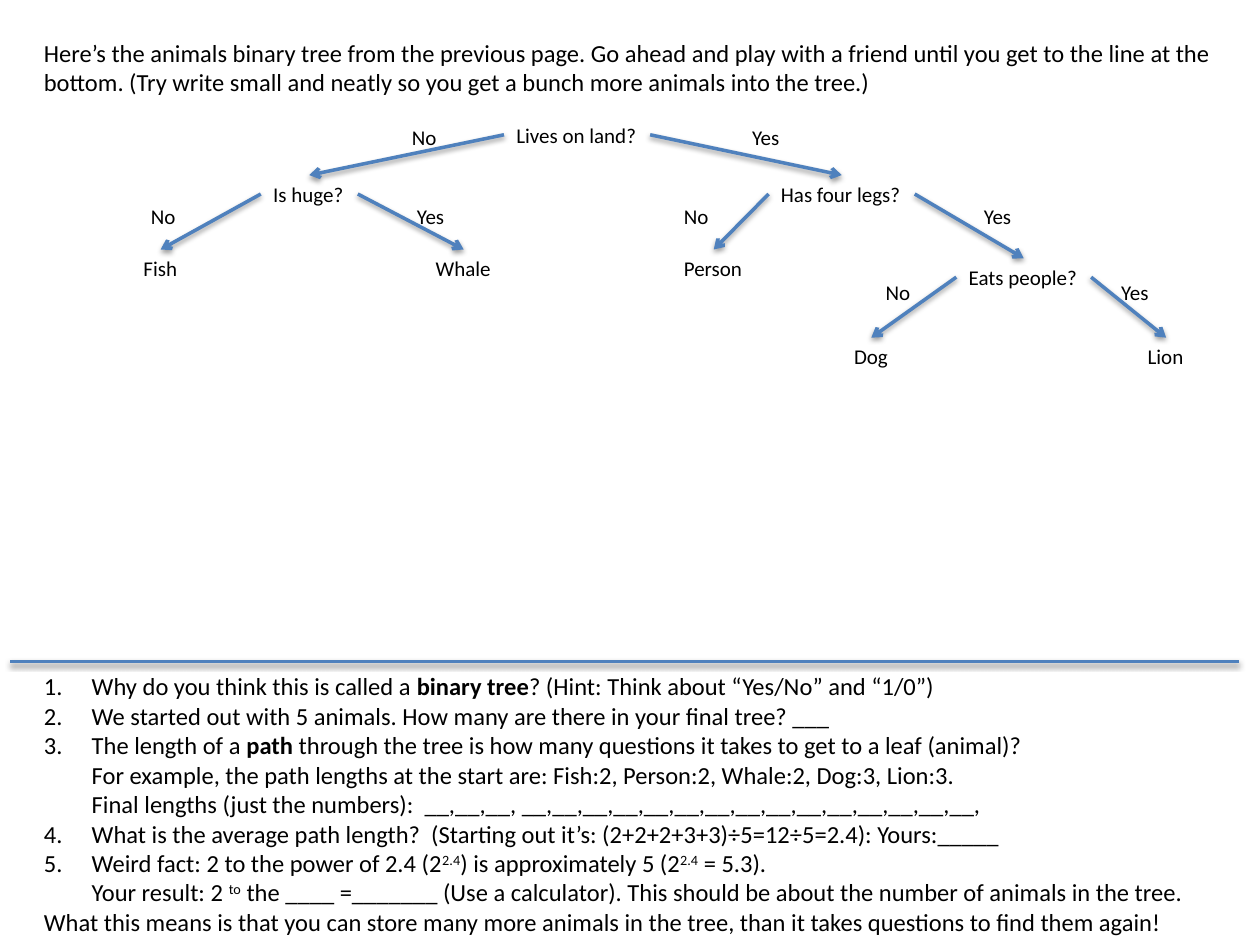
from dataclasses import dataclass

from lxml.etree import SubElement
from pptx import Presentation
from pptx.dml.color import RGBColor
from pptx.enum.shapes import MSO_CONNECTOR as Connector
from pptx.enum.text import MSO_AUTO_SIZE as AutoSize
from pptx.oxml.ns import qn
from pptx.util import Inches, Pt

COLORS = {"text": "000000", "line": "4F81BD", "shadow": "000000"}
NODE_HEIGHT = 0.3
BODY_SIZE, TREE_SIZE = 14, 12
NUMBER_INDENT = Inches(0.38)
BOLD, SUPER = "bold", "super"


@dataclass(frozen=True)
class Node:
    text: str
    left: float
    top: float
    width: float

    @property
    def center(self) -> float:
        return self.left + self.width / 2

    @property
    def middle(self) -> float:
        return self.top + NODE_HEIGHT / 2


@dataclass(frozen=True)
class Branch:
    question: Node
    answer: Node
    label: Node


@dataclass(frozen=True)
class Item:
    runs: tuple  # plain strings or (text, style) pairs
    numbered: bool = True


def no(left: float, top: float) -> Node:
    return Node("No", left, top, 0.4)


def yes(left: float, top: float) -> Node:
    return Node("Yes", left, top, 0.45)


# Tree content
land = Node("Lives on land?", 4, 0.92, 1.16)
legs = Node("Has four legs?", 6.1, 1.39, 1.16)
huge = Node("Is huge?", 2.07, 1.39, 0.77)
eats = Node("Eats people?", 7.59, 2.05, 1.07)
fish = Node("Fish", 1.04, 1.98, 0.47)
whale = Node("Whale", 3.36, 1.98, 0.64)
person = Node("Person", 5.33, 1.98, 0.67)
dog = Node("Dog", 6.68, 2.68, 0.47)
lion = Node("Lion", 9.01, 2.68, 0.49)

BRANCHES = [
    Branch(land, huge, no(3.17, 0.94)),
    Branch(land, legs, yes(5.87, 0.94)),
    Branch(huge, fish, no(1.1, 1.57)),
    Branch(huge, whale, yes(3.21, 1.57)),
    Branch(legs, person, no(5.33, 1.57)),
    Branch(legs, eats, yes(7.71, 1.57)),
    Branch(eats, dog, no(6.93, 2.17)),
    Branch(eats, lion, yes(8.8, 2.17)),
]

# Text content
INTRO = Item((
    "Here’s the animals binary tree from the previous page. Go ahead and play with a friend "
    "until you get to the line at the bottom. (Try write small and neatly so you get a bunch "
    "more animals into the tree.)",
), numbered=False)

QUESTIONS = [
    Item(("Why do you think this is called a ", ("binary tree", BOLD),
          "? (Hint: Think about “Yes/No” and “1/0”)")),
    Item(("We started out with 5 animals. How many are there in your final tree? ___",)),
    Item(("The length of a ", ("path", BOLD),
          " through the tree is how many questions it takes to get to a leaf (animal)? \n"
          "For example, the path lengths at the start are: "
          "Fish:2, Person:2, Whale:2, Dog:3, Lion:3.\n"
          "Final lengths (just the numbers):  "
          "__,__,__, __,__,__,__,__,__,__,__,__,__,__,__,__,__,__,")),
    Item(("What is the average path length?  "
          "(Starting out it’s: (2+2+2+3+3)÷5=12÷5=2.4): Yours:_____",)),
    Item(("Weird fact: 2 to the power of 2.4 (2", ("2.4", SUPER),
          ") is approximately 5 (2", ("2.4", SUPER), " = 5.3). \nYour result: 2 ",
          ("to", SUPER), " the ____ =_______ (Use a calculator). "
          "This should be about the number of animals in the tree.")),
    Item(("What this means is that you can store many more animals in the tree, "
          "than it takes questions to find them again!",), numbered=False),
]


def add_run(paragraph, text: str, size: int, style: str = "") -> None:
    run = paragraph.add_run()
    run.text = text
    font_format = {"name": "Calibri", "size": Pt(size), "bold": style == BOLD}
    for attribute, value in font_format.items():
        setattr(run.font, attribute, value)
    run.font.color.rgb = RGBColor.from_string(COLORS["text"])
    if style == SUPER:
        run.font._element.set("baseline", "30000")


def fill_paragraph(paragraph, item: Item, size: int) -> None:
    if item.numbered:
        properties = paragraph._p.get_or_add_pPr()
        properties.set("marL", str(NUMBER_INDENT))
        properties.set("indent", str(-NUMBER_INDENT))
        SubElement(properties, qn("a:buFont"), typeface="+mj-lt")
        SubElement(properties, qn("a:buAutoNum"), type="arabicPeriod")
    for part in item.runs:
        text, style = (part, "") if isinstance(part, str) else part
        for index, line in enumerate(text.split("\n")):
            if index:
                paragraph.add_line_break()
            add_run(paragraph, line, size, style)


def add_text(slide, left: float, top: float, width: float, height: float,
             items: list[Item], size: int, wrap: bool = True) -> None:
    box = slide.shapes.add_textbox(*map(Inches, (left, top, width, height)))
    frame = box.text_frame
    frame_format = {"word_wrap": wrap, "auto_size": AutoSize.SHAPE_TO_FIT_TEXT}
    for attribute, value in frame_format.items():
        setattr(frame, attribute, value)
    for index, item in enumerate(items):
        paragraph = frame.add_paragraph() if index else frame.paragraphs[0]
        fill_paragraph(paragraph, item, size)


def add_node(slide, node: Node) -> None:
    add_text(slide, node.left, node.top, node.width, NODE_HEIGHT,
             [Item((node.text,), numbered=False)], TREE_SIZE, wrap=False)


def add_line(slide, start: tuple[float, float], end: tuple[float, float],
             arrow: bool = False) -> None:
    line = slide.shapes.add_connector(Connector.STRAIGHT, *map(Inches, start + end))
    line.line.width = Pt(2)
    line.line.color.rgb = RGBColor.from_string(COLORS["line"])
    if arrow:
        SubElement(line.line._get_or_add_ln(), qn("a:tailEnd"), type="arrow")
    # Soft shadow falling straight down
    effects = SubElement(line._element.spPr, qn("a:effectLst"))
    shadow = SubElement(effects, qn("a:outerShdw"), blurRad=str(Pt(3.1)), dist=str(Pt(1.6)),
                        dir="5400000", rotWithShape="0")
    color = SubElement(shadow, qn("a:srgbClr"), val=COLORS["shadow"])
    SubElement(color, qn("a:alpha"), val="38000")


def add_branch(slide, branch: Branch) -> None:
    question, answer = branch.question, branch.answer
    goes_left = answer.center < question.center
    start_x = question.left if goes_left else question.left + question.width
    add_line(slide, (start_x, question.middle), (answer.center, answer.top), arrow=True)
    add_node(slide, answer)
    add_node(slide, branch.label)


def main() -> None:
    deck = Presentation()
    deck.slide_width, deck.slide_height = Inches(10), Inches(7.5)
    slide = deck.slides.add_slide(deck.slide_layouts[6])

    # Instructions above, questions below the line
    add_text(slide, 0.25, 0.25, 9.5, 0.57, [INTRO], BODY_SIZE)
    add_text(slide, 0.25, 5.28, 9.5, 2.22, QUESTIONS, BODY_SIZE)

    # Animal tree
    add_node(slide, land)
    for branch in BRANCHES:
        add_branch(slide, branch)

    # Divider
    add_line(slide, (0.08, 5.25), (9.83, 5.25))

    deck.save("out.pptx")


if __name__ == "__main__":
    main()
